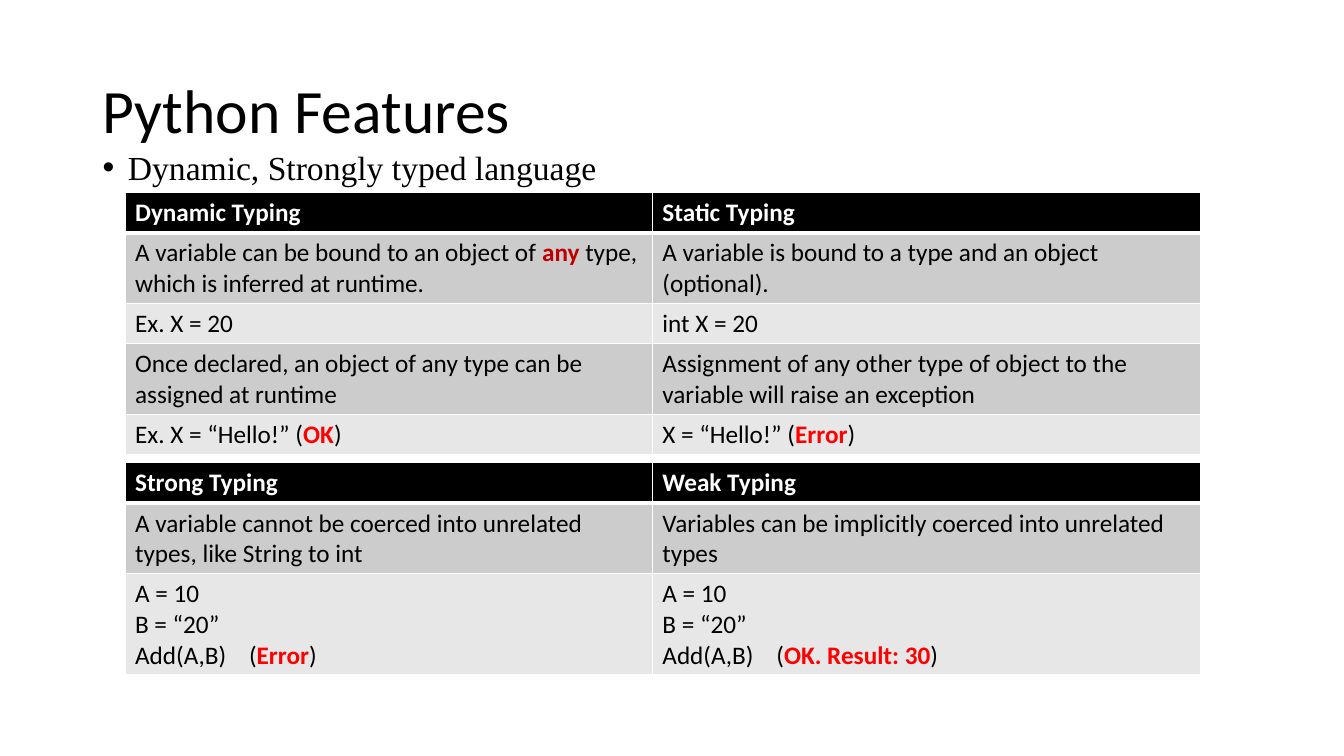
"""Build the slide on Python's dynamic and strong typing."""
from lxml.etree import SubElement
from pptx import Presentation
from pptx.dml.color import RGBColor as RGB
from pptx.enum.text import MSO_ANCHOR as Anchor
from pptx.oxml import parse_xml
from pptx.oxml.ns import nsdecls, qn
from pptx.util import Inches, Pt

COLOURS = {"text": "000000", "header": "000000", "header text": "FFFFFF",
           "odd row": "CCCCCC", "even row": "E7E7E7", "border": "FFFFFF",
           "any": "C00000", "result": "FF0000"}
MARGIN, CONTENT_WIDTH = 0.92, 11.5
TABLE_LEFT, COLUMN_WIDTHS = 1.24, (5.23, 5.44)
LINE_HEIGHT, CELL_PADDING = 0.3, 0.1
RESULT_TAB = 1.13

TABLES = [
    (1.91, [
        (1, "Dynamic Typing", "Static Typing"),
        (2, "A variable can be bound to an object of *any* type, which is inferred at runtime.",
         "A variable is bound to a type and an object (optional)."),
        (1, "Ex. X = 20", "int X = 20"),
        (2, "Once declared, an object of any type can be assigned at runtime",
         "Assignment of any other type of object to the variable will raise an exception"),
        (1, "Ex. X = “Hello!” (*OK*)", "X = “Hello!” (*Error*)"),
    ]),
    (4.59, [
        (1, "Strong Typing", "Weak Typing"),
        (2, "A variable cannot be coerced into unrelated types, like String to int",
         "Variables can be implicitly coerced into unrelated types"),
        (3, "A = 10\nB = “20”\nAdd(A,B)\t(*Error*)",
         "A = 10\nB = “20”\nAdd(A,B)\t(*OK. Result: 30*)"),
    ]),
]


def add_heading(top, height, text, font_name, size, anchor):
    box = slide.shapes.add_textbox(Inches(MARGIN), Inches(top), Inches(CONTENT_WIDTH), Inches(height))
    box.text_frame.word_wrap = True
    box.text_frame.vertical_anchor = anchor
    paragraph = box.text_frame.paragraphs[0]
    paragraph.text = text
    paragraph.line_spacing = 0.9
    paragraph.font.name, paragraph.font.size = font_name, Pt(size)
    paragraph.font.color.rgb = RGB.from_string(COLOURS["text"])
    return paragraph


def fill_cell(cell, text, fill, text_colour, is_header):
    properties = cell._tc.get_or_add_tcPr()
    for side in "LRTB":
        width = Pt(3 if is_header and side == "B" else 1)
        properties.append(parse_xml(
            f'<a:ln{side} {nsdecls("a")} w="{width}"><a:solidFill>'
            f'<a:srgbClr val="{COLOURS["border"]}"/></a:solidFill></a:ln{side}>'))
    cell.fill.solid()
    cell.fill.fore_color.rgb = RGB.from_string(COLOURS[fill])
    for number, line in enumerate(text.split("\n")):
        frame = cell.text_frame
        paragraph = frame.add_paragraph() if number else frame.paragraphs[0]
        paragraph.font.name, paragraph.font.size = "Calibri", Pt(18)
        if "\t" in line:
            tabs = parse_xml(f'<a:tabLst {nsdecls("a")}><a:tab pos="{Inches(RESULT_TAB)}" algn="l"/></a:tabLst>')
            paragraph._p.get_or_add_pPr().insert(0, tabs)
        for position, words in enumerate(line.split("*")):
            emphasised = position % 2 == 1
            run = paragraph.add_run()
            run.text = words
            run.font.bold = is_header or emphasised
            colour = COLOURS.get(words, COLOURS["result"]) if emphasised else COLOURS[text_colour]
            run.font.color.rgb = RGB.from_string(colour)


presentation = Presentation()
presentation.slide_width, presentation.slide_height = Inches(13.33), Inches(7.5)
slide = presentation.slides.add_slide(presentation.slide_layouts[6])

add_heading(0.4, 1.45, "Python Features", "Calibri", 44, Anchor.MIDDLE)
bullet = add_heading(1.45, 0.45, "Dynamic, Strongly typed language", "Times New Roman", 24, Anchor.TOP)
bullet_properties = bullet._p.get_or_add_pPr()
bullet_properties.set("marL", str(Inches(0.25)))
bullet_properties.set("indent", str(-Inches(0.25)))
bullet_font = SubElement(bullet_properties, qn("a:buFont"), typeface="Arial")
bullet_character = SubElement(bullet_properties, qn("a:buChar"), char="•")
bullet_properties.find(qn("a:lnSpc")).addnext(bullet_font)
bullet_font.addnext(bullet_character)

for top, rows in TABLES:
    heights = [CELL_PADDING + LINE_HEIGHT * lines for lines, *_ in rows]
    table = slide.shapes.add_table(len(rows), len(COLUMN_WIDTHS), Inches(TABLE_LEFT), Inches(top),
                                   Inches(sum(COLUMN_WIDTHS)), Inches(sum(heights))).table
    for column, width in zip(table.columns, COLUMN_WIDTHS):
        column.width = Inches(width)
    for row_number, (_, *texts) in enumerate(rows):
        table.rows[row_number].height = Inches(heights[row_number])
        is_header = row_number == 0
        fill = "header" if is_header else "odd row" if row_number % 2 else "even row"
        for column_number, text in enumerate(texts):
            fill_cell(table.cell(row_number, column_number), text, fill,
                      "header text" if is_header else "text", is_header)

presentation.save("out.pptx")
